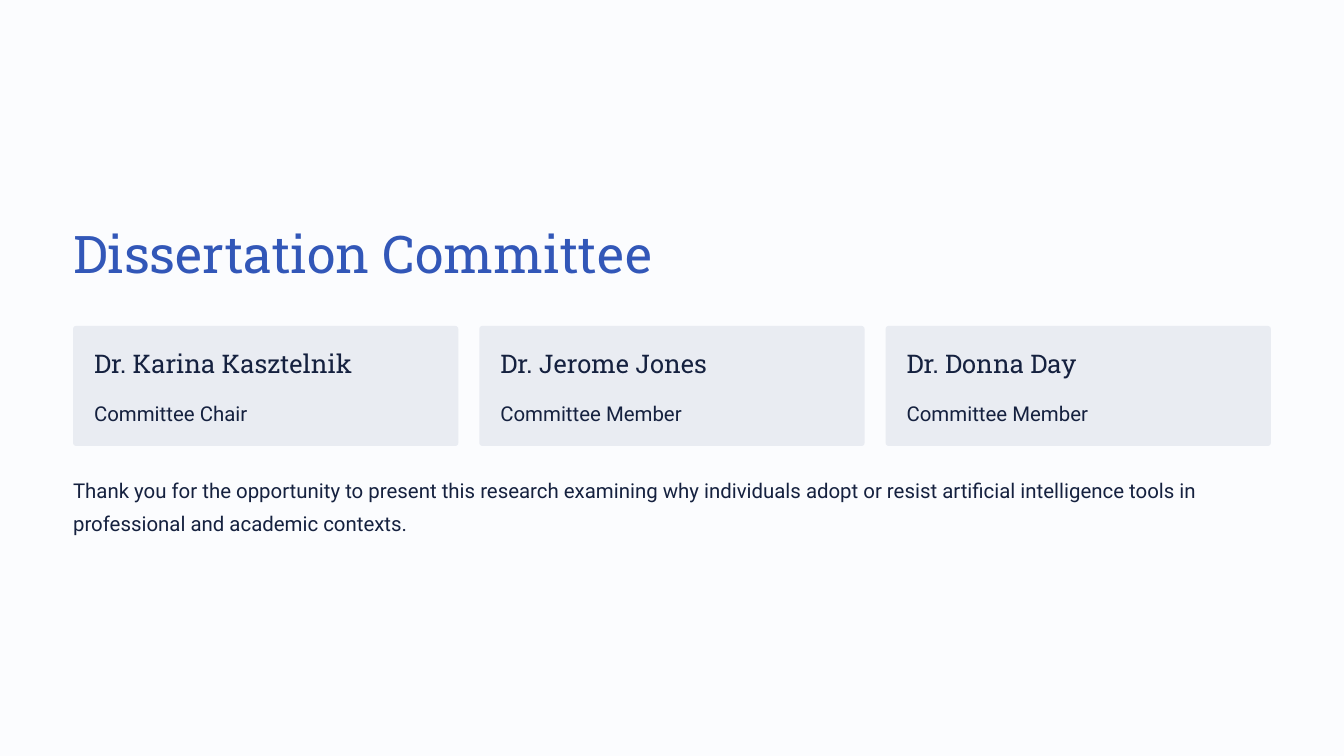
from pptx import Presentation
from pptx import util as u
from pptx.dml.color import RGBColor
from pptx.enum import shapes, text

PAPER = RGBColor(0xFB, 0xFC, 0xFE)
CARD = RGBColor(0xE9, 0xEC, 0xF2)
BLUE = RGBColor(0x32, 0x57, 0xB8)
NAVY = RGBColor(0x15, 0x21, 0x3F)

WIDTH, HEIGHT = 16, 9
MARGIN = 0.87
CONTENT = WIDTH - 2 * MARGIN
GAP = 0.25
PADDING = 0.25

TITLE = dict(size=44.5, leading=55.5, name="Roboto Slab", color=BLUE)
NAME = dict(size=22, leading=27.5, name="Roboto Slab", color=NAVY)
BODY = dict(size=17.5, leading=28.5, name="Roboto", color=NAVY)

COMMITTEE = [
    ("Dr. Karina Kasztelnik", "Committee Chair"),
    ("Dr. Jerome Jones", "Committee Member"),
    ("Dr. Donna Day", "Committee Member"),
]
THANKS = (
    "Thank you for the opportunity to present this research examining why "
    "individuals adopt or resist artificial intelligence tools in "
    "professional and academic contexts."
)


def add_text(slide, box, words, style, wrap=False):
    frame = slide.shapes.add_textbox(*map(u.Inches, box)).text_frame
    layout = dict(margin_left=0, margin_top=0, margin_right=0, margin_bottom=0,
                  word_wrap=wrap, vertical_anchor=text.MSO_ANCHOR.TOP)
    for key, value in layout.items():
        setattr(frame, key, value)
    line = frame.paragraphs[0]
    line.alignment = text.PP_ALIGN.LEFT
    line.line_spacing = u.Pt(style["leading"])
    run = line.add_run()
    run.text = words
    for key, value in dict(size=u.Pt(style["size"]), name=style["name"]).items():
        setattr(run.font, key, value)
    run.font.color.rgb = style["color"]


def add_member(slide, box, name, role):
    left, top, width, height = box
    card = slide.shapes.add_shape(
        shapes.MSO_SHAPE.ROUNDED_RECTANGLE, *map(u.Inches, box))
    card.adjustments[0] = 0.026
    card.shadow.inherit = False
    card.fill.solid()
    card.fill.fore_color.rgb = CARD
    card.line.fill.background()
    inner = width - 2 * PADDING
    add_text(slide, (left + PADDING, top + PADDING, inner, 0.39), name, NAME)
    add_text(slide, (left + PADDING, top + 0.79, inner, 0.4), role, BODY)


def add_committee(slide, box):
    left, top, width, height = box
    column = (width - GAP * (len(COMMITTEE) - 1)) / len(COMMITTEE)
    for index, (name, role) in enumerate(COMMITTEE):
        card_left = left + index * (column + GAP)
        add_member(slide, (card_left, top, column, height), name, role)


def main():
    deck = Presentation()
    deck.slide_width, deck.slide_height = u.Inches(WIDTH), u.Inches(HEIGHT)
    slide = deck.slides.add_slide(deck.slide_layouts[6])
    slide.background.fill.solid()
    slide.background.fill.fore_color.rgb = PAPER
    add_text(slide, (MARGIN, 2.61, 6.91, 0.78), "Dissertation Committee", TITLE)
    add_committee(slide, (MARGIN, 3.88, CONTENT, 1.43))
    add_text(slide, (MARGIN, 5.59, CONTENT, 0.79), THANKS, BODY, wrap=True)
    deck.save("out.pptx")


if __name__ == "__main__":
    main()
